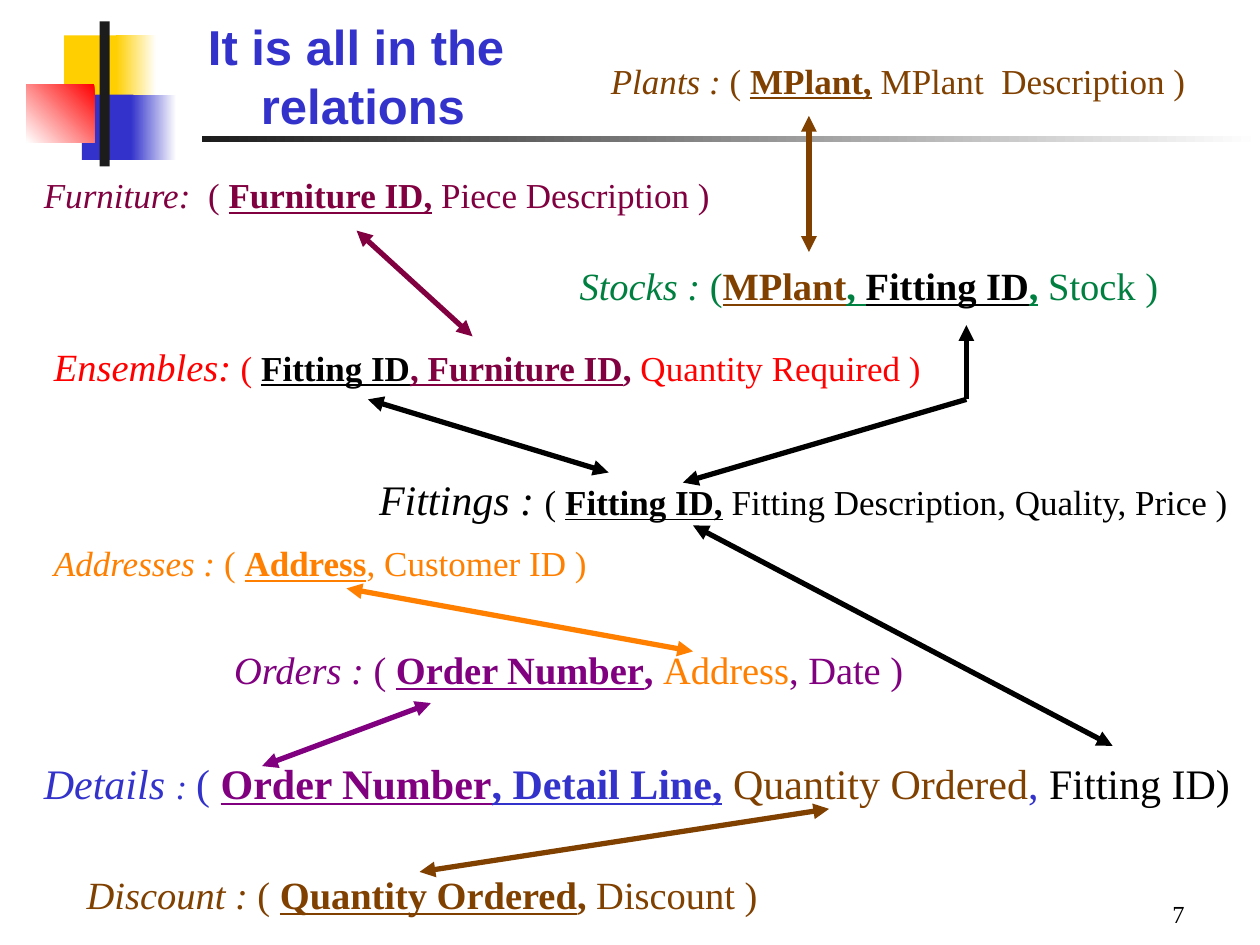
"""Build the slide that links relations by their shared keys."""
from lxml.etree import SubElement
from pptx import Presentation
from pptx.dml.color import RGBColor
from pptx.enum.shapes import MSO_CONNECTOR as LINK, MSO_SHAPE as SHAPE
from pptx.enum.text import MSO_ANCHOR as ANCHOR, MSO_AUTO_SIZE as FIT, PP_ALIGN as ALIGN
from pptx.oxml.ns import qn
from pptx.util import Pt

PX = 9144
WHITE = RGBColor(0xFF, 0xFF, 0xFF)
BLACK = RGBColor(0x00, 0x00, 0x00)
DARK = RGBColor(0x1C, 0x1C, 0x1C)
GOLD = RGBColor(0xFF, 0xCF, 0x01)
BLUE = RGBColor(0x33, 0x33, 0xCC)
RED = RGBColor(0xFF, 0x00, 0x00)
BROWN = RGBColor(0x80, 0x40, 0x00)
WINE = RGBColor(0x80, 0x00, 0x40)
ORANGE = RGBColor(0xFF, 0x80, 0x00)
PURPLE = RGBColor(0x80, 0x00, 0x80)
GREEN = RGBColor(0x00, 0x80, 0x40)


def scale(*nums):
    return [n * PX for n in nums]


def write(para, text, size=20, color=BLACK, style="", face="Times New Roman"):
    run = para.add_run()
    run.text = text
    font = run.font
    font.name, font.size, font.color.rgb = face, Pt(size), color
    font.italic, font.bold, font.underline = "i" in style, "b" in style, "u" in style


deck = Presentation()
deck.slide_width, deck.slide_height = scale(1000, 750)
slide = deck.slides.add_slide(deck.slide_layouts[5])
shapes = slide.shapes

blocks = [
    (51, 28, 42, 52, GOLD, None, 0),
    (92, 28, 32, 52, GOLD, WHITE, 0),
    (65, 75, 41, 52, BLUE, None, 0),
    (104, 75, 36, 52, BLUE, WHITE, 0),
    (21, 67, 54, 46, RED, WHITE, 225),
    (79, 17, 8, 115, DARK, None, 0),
    (160, 108, 840, 5, DARK, WHITE, 0),
]
for x, y, w, h, color, fade, angle in blocks:
    block = shapes.add_shape(SHAPE.RECTANGLE, *scale(x, y, w, h))
    block.shadow.inherit = False
    block.line.fill.background()
    if fade is None:
        block.fill.solid()
        block.fill.fore_color.rgb = color
    else:
        block.fill.gradient()
        block.fill.gradient_angle = angle
        for stop, tone in zip(block.fill.gradient_stops, (color, fade)):
            stop.color.rgb = tone

title = shapes.title
title.left, title.top, title.width, title.height = scale(450, 200, 517, 50)
title.fill.solid()
title.fill.fore_color.rgb = WHITE
frame = title.text_frame
frame.auto_size = FIT.NONE
frame.vertical_anchor = ANCHOR.BOTTOM
para = frame.paragraphs[0]
para.alignment = ALIGN.LEFT
for text, color, style in [
    ("Stocks :", GREEN, "i"), (" (", GREEN, ""), ("MPlant", BROWN, "bu"),
    (", ", GREEN, "bu"), ("Fitting ID", BLACK, "bu"), (",", GREEN, "bu"),
    (" Stock )", GREEN, ""),
]:
    write(para, text, size=22, color=color, style=style)

tables = [
    (59, 683, 553, 51, 1.1, None, [
        ("Discount :", 22, BROWN, "i"), (" ( ", 22, BROWN, ""),
        ("Quantity Ordered", 22, BROWN, "bu"), (",", 22, BROWN, "b"),
        (" Discount )", 22, BROWN, "")]),
    (25, 133, 550, 44, 1, None, [
        ("Furniture:  ", 20, WINE, "i"), ("( ", 20, WINE, ""),
        ("Furniture ID,", 20, WINE, "bu"), (" Piece Description )", 20, WINE, "")]),
    (33, 425, 444, 44, 1, None, [
        ("Addresses : ", 20, ORANGE, "i"), ("( ", 20, ORANGE, ""),
        ("Address", 20, ORANGE, "bu"), (", Customer ID )", 20, ORANGE, "")]),
    (291, 367, 695, 54, 1.1, None, [
        ("Fittings : ", 24, BLACK, "i"), ("( ", 20, BLACK, ""),
        ("Fitting ID,", 20, BLACK, "bu"),
        (" Fitting Description, Quality, Price )", 20, BLACK, "")]),
    (176, 508, 553, 47, 1, None, [
        ("Orders :", 22, PURPLE, "i"), (" ( ", 22, PURPLE, ""),
        ("Order Number", 22, PURPLE, "bu"), (", ", 22, PURPLE, "b"),
        ("Address", 22, ORANGE, ""), (", Date )", 22, PURPLE, "")]),
    (25, 592, 962, 54, 1.1, WHITE, [
        ("Details ", 24, BLUE, "i"), (": ", 20, BLUE, "i"), ("( ", 24, BLUE, ""),
        ("Order Number", 24, PURPLE, "bu"), (", Detail Line,", 24, BLUE, "bu"),
        (" ", 24, BLUE, ""), ("Quantity Ordered", 24, BROWN, ""),
        (", ", 24, BLUE, ""), ("Fitting ID)", 24, BLACK, "")]),
    (475, 42, 476, 44, 1, None, [
        ("Plants :", 20, BROWN, "i"), (" ( ", 20, BROWN, ""),
        ("MPlant,", 20, BROWN, "bu"), (" MPlant  Description )", 20, BROWN, "")]),
    (33, 267, 708, 47, 1, WHITE, [
        ("Ensembles: ", 22, RED, "i"), ("( ", 20, RED, ""),
        ("Fitting ID", 20, BLACK, "bu"), (", Furniture ID", 20, WINE, "bu"),
        (", ", 20, WINE, "b"), ("Quantity Required )", 20, RED, "")]),
]
for x, y, w, h, gap, fill, runs in tables:
    box = shapes.add_textbox(*scale(x, y, w, h))
    if fill is not None:
        box.fill.solid()
        box.fill.fore_color.rgb = fill
    frame = box.text_frame
    frame.word_wrap = False
    frame.auto_size = FIT.SHAPE_TO_FIT_TEXT
    para = frame.paragraphs[0]
    para.line_spacing = gap
    for text, size, color, style in runs:
        write(para, text, size=size, color=color, style=style)

head = shapes.add_textbox(*scale(142, 8, 292, 104)).text_frame
head.word_wrap = True
for para, text in zip((head.paragraphs[0], head.add_paragraph()),
                      ("It is all in the ", "relations")):
    para.alignment = ALIGN.CENTER
    write(para, text, size=28, color=BLUE, style="b", face="Arial")

both, end = ("headEnd", "tailEnd"), ("tailEnd",)
links = [
    (642, 92, 642, 200, BROWN, both),
    (283, 183, 375, 267, WINE, both),
    (275, 467, 550, 517, ORANGE, both),
    (342, 558, 208, 608, PURPLE, both),
    (658, 642, 333, 692, BROWN, both),
    (292, 317, 483, 375, BLACK, both),
    (550, 417, 883, 592, BLACK, both),
    (767, 317, 767, 258, BLACK, end),
    (767, 317, 542, 383, BLACK, end),
]
for *ends, color, tips in links:
    link = shapes.add_connector(LINK.STRAIGHT, *scale(*ends))
    link.line.color.rgb = color
    link.line.width = Pt(3)
    for tip in tips:
        SubElement(link.line._get_or_add_ln(), qn("a:" + tip), type="triangle")
    SubElement(link._element.spPr, qn("a:effectLst"))

foot = shapes.add_textbox(*scale(742, 692, 208, 50)).text_frame
foot.word_wrap = True
foot.vertical_anchor = ANCHOR.BOTTOM
foot.paragraphs[0].alignment = ALIGN.RIGHT
write(foot.paragraphs[0], "7", size=14)

deck.save("out.pptx")
